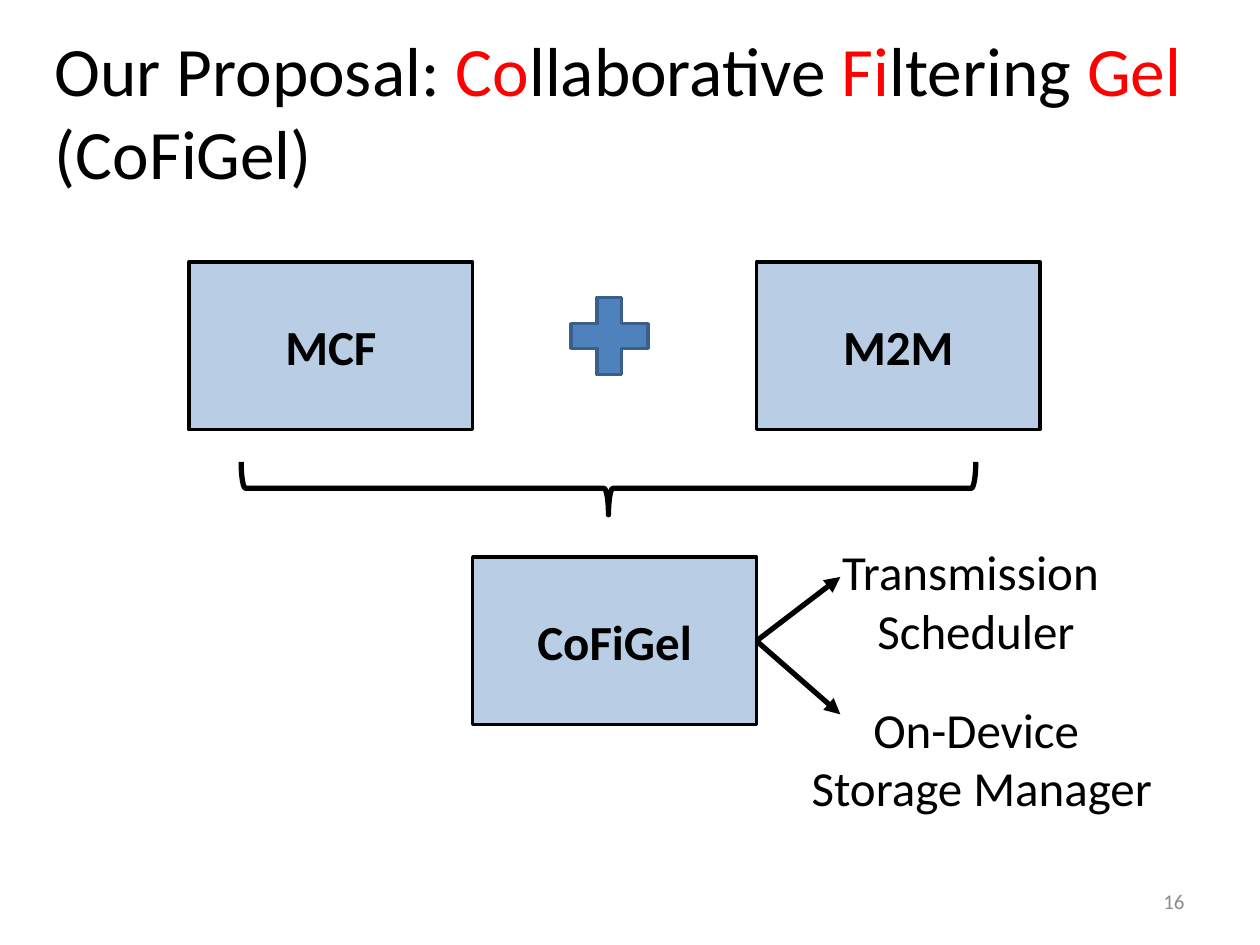
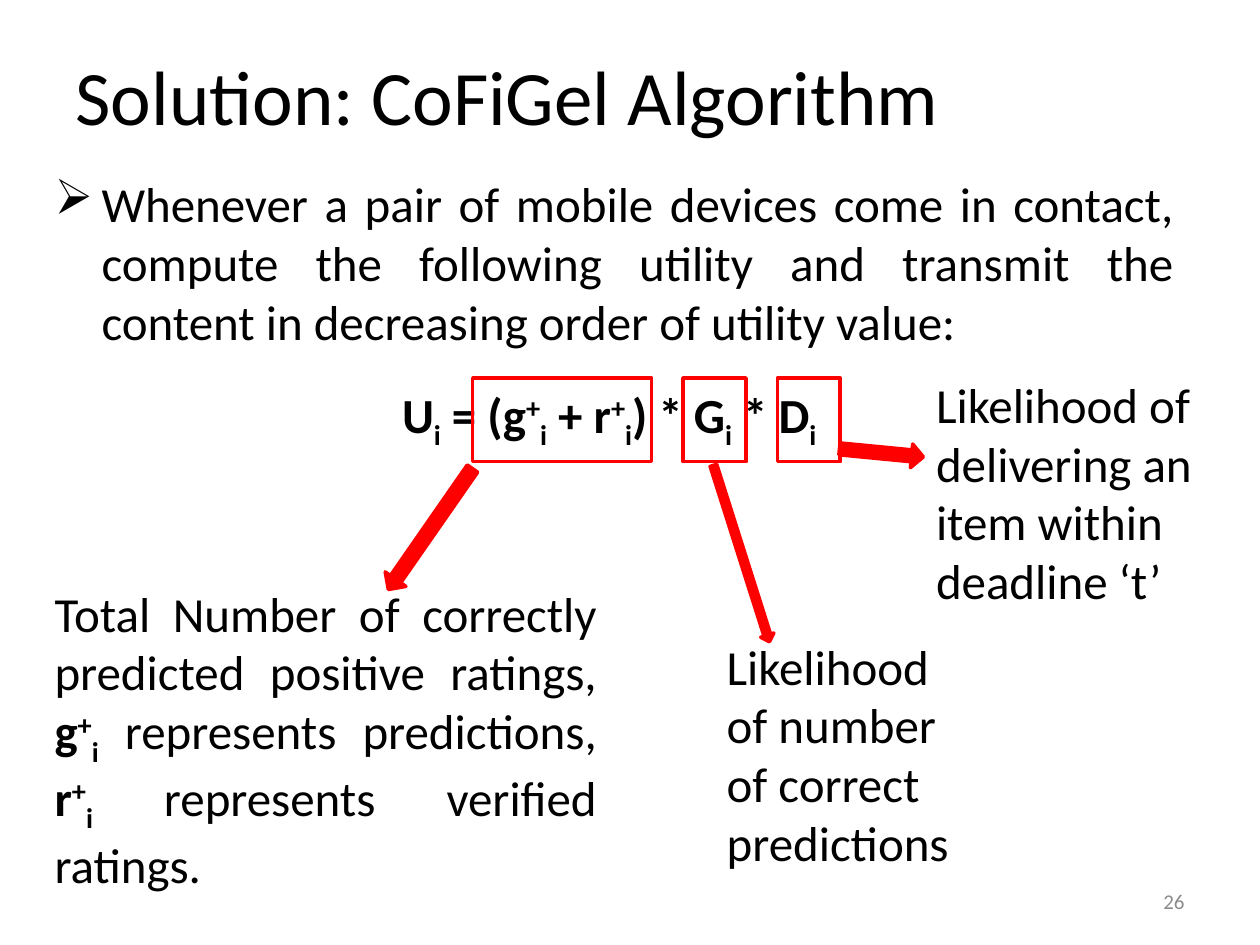
import pptx
import pptx.util
import pptx.dml.color
import pptx.enum.shapes
import pptx.enum.text
import pptx.oxml.ns
import lxml.etree

Cm, Pt = pptx.util.Cm, pptx.util.Pt
SHAPE = pptx.enum.shapes.MSO_SHAPE
ALIGN = pptx.enum.text.PP_ALIGN
ANCHOR = pptx.enum.text.MSO_ANCHOR
FIT = pptx.enum.text.MSO_AUTO_SIZE

FONT, BODY = "Calibri", 28
BLACK, RED, GRAY = "000000", "FF0000", "8C8C8C"
PALE, BLUE, NAVY = "B9CDE5", "4F81BD", "3A5F8C"
HANG = 0.95
PAGE = (18.21, 17.65, 5.92, 1.02)

# A run is (text, marks): b bold, r red, ^ raised, _ lowered.
SUB, SUP = ("i", "b_"), ("+", "b^")

# Slide 1
PLAN = [("Our Proposal: ", ""), ("Co", "r"), ("llaborative ", ""), ("Fi", "r"),
        ("ltering ", ""), ("Gel ", "r"), ("(CoFiGel)", "")]
LEFT, WIDE, HIGH = 3.81, 5.72, 3.38
BLOCKS = [("MCF", 0, 5.28), ("M2M", 2, 5.28), ("CoFiGel", 1, 11.23)]  # name, column, top
PARTS = [  # lines, box, arrow tip
    (["Transmission ", "Scheduler"], (16.71, 10.8, 5.93, 2.64), (16.94, 11.63)),
    (["On-Device ", "Storage Manager"], (16.08, 13.97, 7.42, 2.64), (16.94, 14.4)),
]

# Slide 2
RULE = ("Whenever a pair of mobile devices come in contact, compute the following "
        "utility and transmit the content in decreasing order of utility value:")
UTILITY = [("U", "b"), SUB, (" = (g", "b"), SUP, SUB, (" + r", "b"), SUP, SUB,
           (") * G", "b"), SUB, (" * D", "b"), SUB]
TOTAL = [("Total Number of correctly predicted positive ratings, ", ""),
         ("g", "b"), SUP, SUB, (" represents predictions, ", ""),
         ("r", "b"), SUP, SUB, (" represents verified ratings.", "")]
TERMS = [  # frame left and width, arrow box, turn, note, note box, alignment
    (9.53, 3.61, (7.19, 10.41, 2.97, 0.51), 124.8,
     TOTAL, (0.85, 11.63, 11.43, 6.25), ALIGN.JUSTIFY),
    (13.77, 1.27, (13.08, 11.02, 3.73, 0.28), 72.4,
     "Likelihood of number of correct predictions", (14.4, 12.7, 5.08, 5.05), ALIGN.LEFT),
    (15.67, 1.27, (16.92, 8.89, 1.7, 0.48), 5.5,
     "Likelihood of delivering an item within deadline ‘t’", (18.62, 7.42, 5.72, 5.05), ALIGN.LEFT),
]


def rgb(code):
    return pptx.dml.color.RGBColor.from_string(code)


def cms(box):
    return [Cm(n) for n in box]


def write(para, runs, size, color=BLACK, align=ALIGN.LEFT):
    """Fill a paragraph from plain text or a list of marked runs."""
    if isinstance(runs, str):
        runs = [(runs, "")]
    para.alignment = align
    for text, marks in runs:
        run = para.add_run()
        run.text = text
        font = run.font
        font.name, font.size, font.bold = FONT, Pt(size), "b" in marks
        font.color.rgb = rgb(RED if "r" in marks else color)
        for mark, shift in (("^", "30000"), ("_", "-25000")):
            if mark in marks:
                run._r.get_or_add_rPr().set("baseline", shift)


def hang(para, bullet=None):
    props = para._p.get_or_add_pPr()
    props.set("marL", str(Cm(HANG)))
    props.set("indent", str(-Cm(HANG)))
    if bullet:
        mark = lxml.etree.SubElement(props, pptx.oxml.ns.qn("a:buChar"))
        mark.set("char", bullet)


def add_text(slide, box, lines, size=BODY, color=BLACK, align=ALIGN.LEFT,
             indent=False, bullet=None):
    frame = slide.shapes.add_textbox(*cms(box)).text_frame
    frame.word_wrap = True
    for num, line in enumerate(lines):
        para = frame.add_paragraph() if num else frame.paragraphs[0]
        if indent:
            hang(para, bullet)
        write(para, line, size, color, align)
    return frame


def add_shape(slide, kind, box, fill=None, line=BLACK, width=2, turn=0):
    shape = slide.shapes.add_shape(kind, *cms(box))
    shape.shadow.inherit = False
    shape.rotation = turn
    if fill:
        shape.fill.solid()
        shape.fill.fore_color.rgb = rgb(fill)
    else:
        shape.fill.background()
    shape.line.color.rgb = rgb(line)
    shape.line.width = Pt(width)
    return shape


def add_arrow(slide, start, tip):
    """Draw an arrow from the right side of a block to a point."""
    link = slide.shapes.add_connector(
        pptx.enum.shapes.MSO_CONNECTOR.STRAIGHT, 0, 0, *cms(tip))
    link.begin_connect(start, 3)
    link.line.color.rgb = rgb(BLACK)
    link.line.width = Pt(3)
    head = lxml.etree.SubElement(link.line._get_or_add_ln(), pptx.oxml.ns.qn("a:tailEnd"))
    head.set("type", "triangle")
    lxml.etree.SubElement(link._element.spPr, pptx.oxml.ns.qn("a:effectLst"))


def add_slide(deck, title, size, box, page):
    slide = deck.slides.add_slide(deck.slide_layouts[5])
    head = slide.shapes.title
    head.left, head.top, head.width, head.height = cms(box)
    frame = head.text_frame
    frame.auto_size = FIT.NONE
    frame.vertical_anchor = ANCHOR.MIDDLE
    write(frame.paragraphs[0], title, size)
    foot = add_text(slide, PAGE, [page], 12, GRAY, ALIGN.RIGHT)
    foot.vertical_anchor = ANCHOR.MIDDLE
    return slide


def draw_plan(deck):
    slide = add_slide(deck, PLAN, 39.6, (0.85, 0.64, 24.13, 3.18), "16")
    for name, col, top in BLOCKS:
        block = add_shape(slide, SHAPE.RECTANGLE,
                          (LEFT + col * WIDE, top, WIDE, HIGH), PALE)
        block.text_frame.vertical_anchor = ANCHOR.MIDDLE
        write(block.text_frame.paragraphs[0], [(name, "b")], BODY, align=ALIGN.CENTER)
    add_shape(slide, SHAPE.RIGHT_BRACE, (11.73, 2.44, 1.07, 14.81), width=3, turn=90)
    add_shape(slide, SHAPE.MATH_PLUS, (11.23, 5.72, 2.11, 2.11), BLUE, NAVY)
    for lines, box, tip in PARTS:
        add_text(slide, box, lines, align=ALIGN.CENTER, indent=True)
        add_arrow(slide, block, tip)


def draw_rule(deck):
    slide = add_slide(deck, "Solution: CoFiGel Algorithm", 44,
                      (1.27, 0.64, 22.86, 2.54), "26")
    add_text(slide, (0.85, 3.38, 23.06, 3.84), [RULE], align=ALIGN.JUSTIFY,
             indent=True, bullet="➢")
    add_text(slide, (6.35, 7.62, 11.86, 1.45), [UTILITY], align=ALIGN.CENTER)
    for left, width, arrow, turn, note, box, align in TERMS:
        add_shape(slide, SHAPE.RECTANGLE, (left, 7.62, width, 1.69), line=RED)
        add_shape(slide, SHAPE.RIGHT_ARROW, arrow, RED, RED, turn=turn)
        add_text(slide, box, [note], align=align)


def main():
    deck = pptx.Presentation()
    deck.slide_width, deck.slide_height = Cm(25.4), Cm(19.05)
    draw_plan(deck)
    draw_rule(deck)
    deck.save("out.pptx")


if __name__ == "__main__":
    main()
